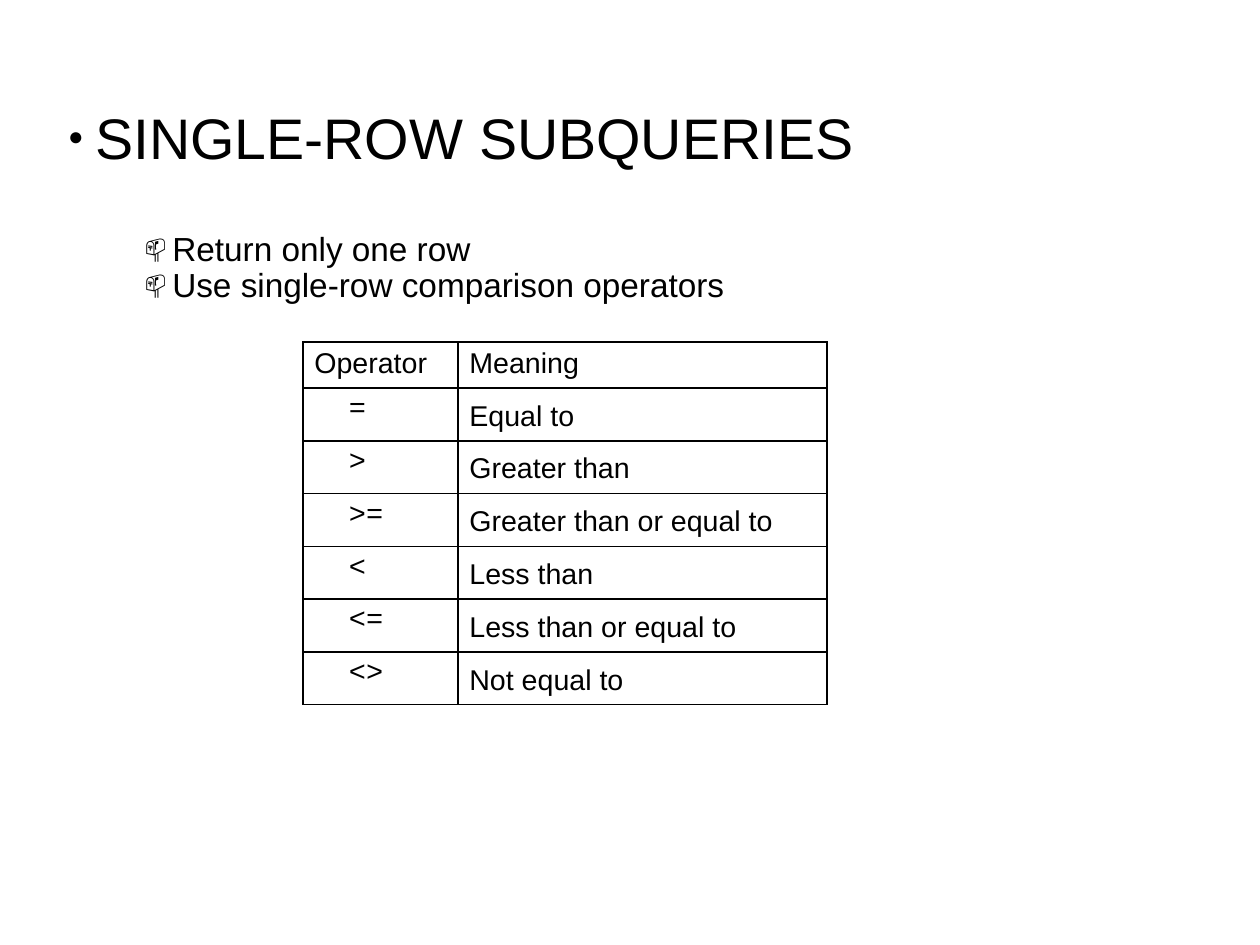
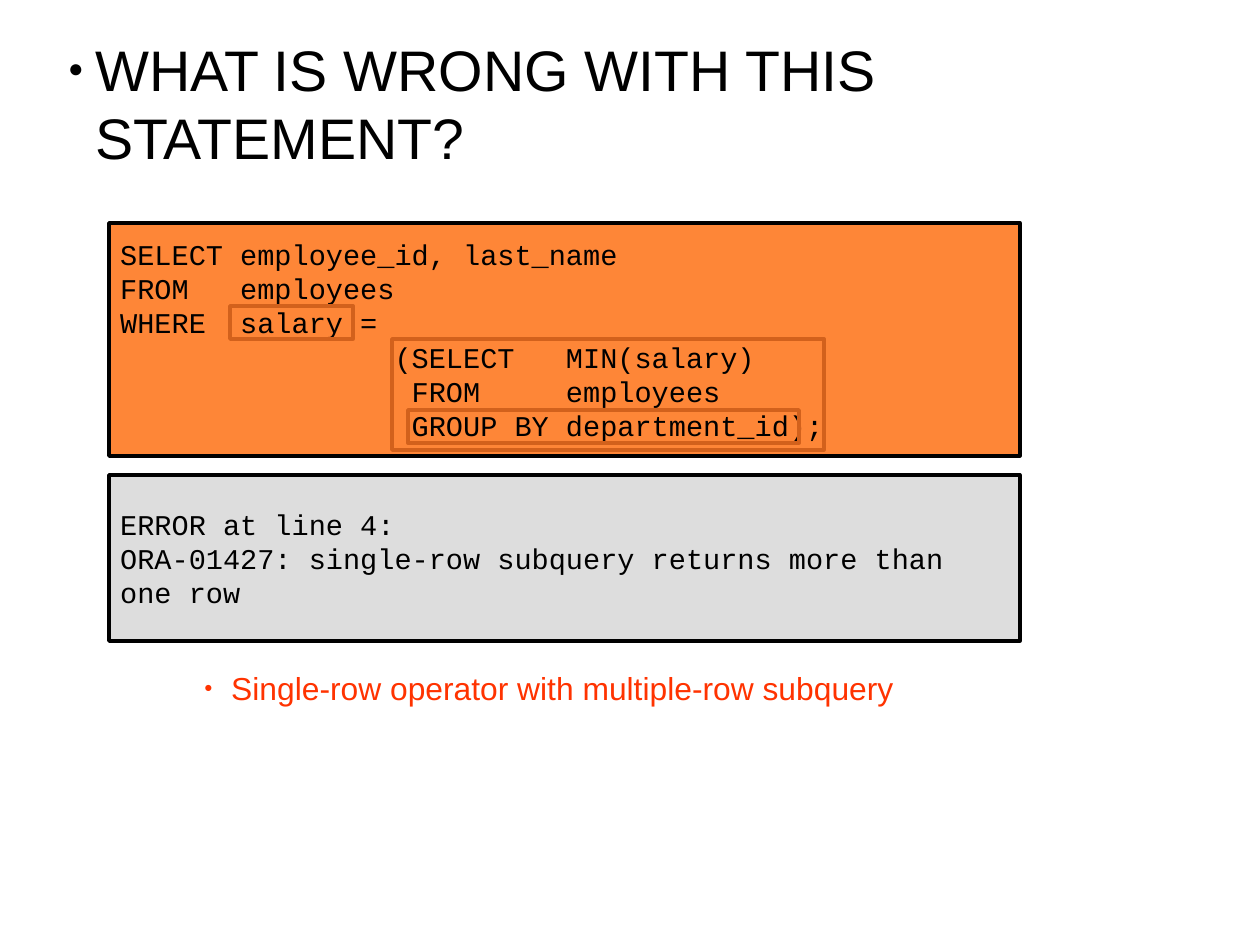
from pptx import Presentation
from pptx.dml.color import RGBColor
from pptx.enum import shapes, text
from pptx.oxml.ns import qn
from pptx.util import Pt
from lxml import etree

PX = 8000  # EMU
BLACK = RGBColor(0x00, 0x00, 0x00)
ORANGE = RGBColor(0xFE, 0x86, 0x37)
GREY = RGBColor(0xDD, 0xDD, 0xDD)
RUST = RGBColor(0xD2, 0x61, 0x1C)
RED = RGBColor(0xFF, 0x33, 0x00)
SANS, MONO = "Arial", "Courier New"
HANG = 27
DOT, MAILBOX = ("●", 45), ("📫", 75)


def write(frame, lines, size, font=SANS, color=BLACK, spacing=None, bullet=None, indent=HANG):
    """Fill a text frame, one paragraph per line; a newline inside a line is a line break."""
    frame.word_wrap = True
    for i, line in enumerate(lines):
        par = frame.paragraphs[0] if i == 0 else frame.add_paragraph()
        par.alignment = text.PP_ALIGN.LEFT
        if spacing:
            par.line_spacing = spacing
        if bullet:
            char, percent = bullet
            props = par._p.get_or_add_pPr()
            props.set("marL", str(indent * PX))
            props.set("indent", str(-HANG * PX))
            etree.SubElement(props, qn("a:buSzPct"), val=str(percent * 1000))
            etree.SubElement(props, qn("a:buFont"), typeface=SANS)
            etree.SubElement(props, qn("a:buChar"), char=char)
        for j, part in enumerate(line.split("\n")):
            if j:
                par.add_line_break()
            run = par.add_run()
            run.text = part
            run.font.size = Pt(size)
            run.font.name = font
            run.font.color.rgb = color


def add_box(slide, place, line, fill=None):
    box = slide.shapes.add_shape(shapes.MSO_SHAPE.RECTANGLE, *[n * PX for n in place])
    box.shadow.inherit = False
    box.line.color.rgb = line
    box.line.width = Pt(2.25)
    if fill is None:
        box.fill.background()
    else:
        box.fill.solid()
        box.fill.fore_color.rgb = fill
    return box


prs = Presentation()
prs.slide_width, prs.slide_height = 1260 * PX, 945 * PX

slides = []
for heading in ("SINGLE-ROW SUBQUERIES", "WHAT IS WRONG WITH THIS STATEMENT?"):
    slide = prs.slides.add_slide(prs.slide_layouts[6])
    title = slide.shapes.add_textbox(57 * PX, 34 * PX, 934 * PX, 143 * PX).text_frame
    title.vertical_anchor = text.MSO_ANCHOR.BOTTOM
    write(title, [heading], 36, bullet=DOT)
    slides.append(slide)
operators_slide, error_slide = slides

# Single-row operators
rules = operators_slide.shapes.add_textbox(107 * PX, 227 * PX, 921 * PX, 95 * PX)
write(rules.text_frame, ["Return only one row", "Use single-row comparison operators"],
      21, spacing=0.9, bullet=MAILBOX, indent=2 * HANG)

operators = [
    ("Operator", "Meaning"),
    ("=", "Equal to"),
    (">", "Greater than"),
    (">=", "Greater than or equal to"),
    ("<", "Less than"),
    ("<=", "Less than or equal to"),
    ("<>", "Not equal to"),
]
widths = (155, 369)
heights = [46] + [53, 52] * 3
table = operators_slide.shapes.add_table(
    len(operators), 2, 303 * PX, 342 * PX, sum(widths) * PX, sum(heights) * PX).table
table.first_row = table.horz_banding = False
for column, width in zip(table.columns, widths):
    column.width = width * PX
for r, row in enumerate(operators):
    table.rows[r].height = heights[r] * PX
    for c, words in enumerate(row):
        cell = table.cell(r, c)
        is_symbol = r > 0 and c == 0
        if is_symbol:
            cell.margin_left = 46 * PX
        write(cell.text_frame, [words], 18, font=MONO if is_symbol else SANS,
              spacing=None if r == 0 else (0.95, 1.2)[c])
        props = cell._tc.get_or_add_tcPr()
        for side in ("a:lnL", "a:lnR", "a:lnT", "a:lnB"):
            edge = etree.SubElement(props, qn(side), w=str(Pt(1)))
            paint = etree.SubElement(edge, qn("a:solidFill"))
            etree.SubElement(paint, qn("a:srgbClr"), val=str(BLACK))
        cell.fill.background()

# Faulty statement and its error
query = [
    "SELECT employee_id, last_name",
    "FROM   employees",
    "WHERE  salary =",
    "                (SELECT   MIN(salary)",
    "                 FROM     employees",
    "                 GROUP BY department_id);",
]
error = [
    "ERROR at line 4:",
    "ORA-01427: single-row subquery returns more than\none row",
]
for lines, top, height, fill in ((query, 223, 233, ORANGE), (error, 475, 166, GREY)):
    panel = add_box(error_slide, (109, top, 911, height), BLACK, fill).text_frame
    panel.vertical_anchor = text.MSO_ANCHOR.MIDDLE
    write(panel, lines, 18, font=MONO)

subquery, salary, group_by = (392, 339, 432, 111), (230, 306, 123, 33), (408, 410, 391, 33)
for highlight in (subquery, salary, group_by):
    add_box(error_slide, highlight, RUST)

cause = error_slide.shapes.add_textbox(193 * PX, 663 * PX, 745 * PX, 50 * PX)
write(cause.text_frame, ["Single-row operator with multiple-row subquery"], 20, color=RED, bullet=DOT)

prs.save("out.pptx")
